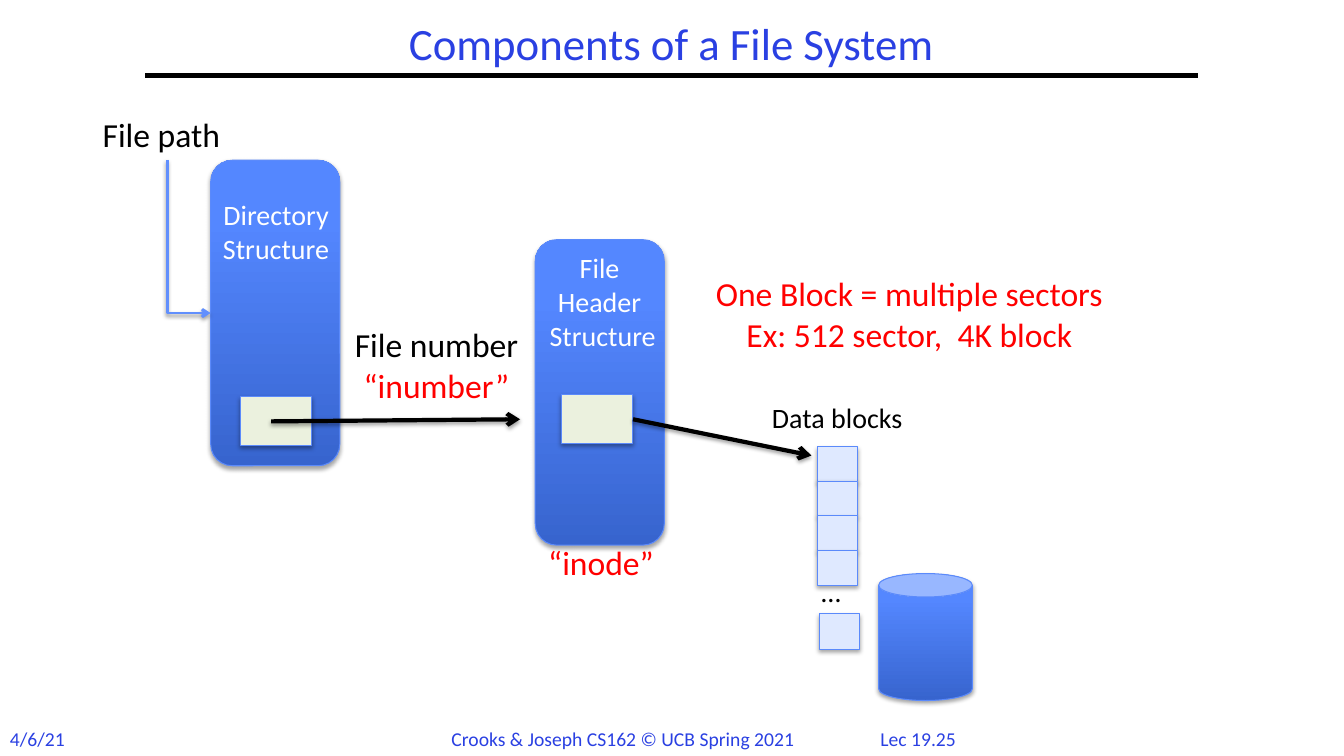
from lxml import etree
from pptx import Presentation
from pptx import util as u
from pptx.dml import color
from pptx.enum import shapes as es, text as et
from pptx.oxml import ns

Pt = u.Pt
RGB = color.RGBColor
BLACK = RGB(0, 0, 0)
WHITE = RGB(255, 255, 255)
RED = RGB(255, 0, 0)
TITLE = RGB(0x2A, 0x40, 0xE2)
EDGE = RGB(0x5B, 0x8A, 0xFB)
LINK = RGB(0x61, 0x8F, 0xFD)
DARK = RGB(0x37, 0x64, 0xCE)
LIGHT = RGB(0x54, 0x87, 0xFF)
CREAM = RGB(0xEB, 0xF1, 0xDE)
PALE = RGB(0xDF, 0xE9, 0xFF)

deck = Presentation()
deck.slide_width, deck.slide_height = Pt(960), Pt(540)
slide = deck.slides.add_slide(deck.slide_layouts[6])
items = slide.shapes


def shade(item, alpha, dist):
    props = item._element.spPr
    fx = etree.SubElement(props, ns.qn("a:effectLst"))
    if alpha:
        drop = etree.SubElement(fx, ns.qn("a:outerShdw"), blurRad=str(Pt(3.1)),
                                dist=str(Pt(dist)), dir="5400000", rotWithShape="0")
        tint = etree.SubElement(drop, ns.qn("a:srgbClr"), val="000000")
        etree.SubElement(tint, ns.qn("a:alpha"), val=str(alpha * 1000))


def join(kind, ends, tint, width, arrow=True):
    link = items.add_connector(kind, *[Pt(v) for v in ends])
    link.line.width = Pt(width)
    link.line.color.rgb = tint
    if arrow:
        etree.SubElement(link.line._get_or_add_ln(), ns.qn("a:tailEnd"), type="arrow")
    shade(link, 38 if arrow else 0, 1.6)
    return link


ROUND = es.MSO_SHAPE.ROUNDED_RECTANGLE
RECT = es.MSO_SHAPE.RECTANGLE
parts = [
    (ROUND, 150.5, 114.5, 92.2, 218.2, None),
    (ROUND, 382.3, 171.2, 92.2, 218.2, None),
    (RECT, 172, 283.5, 50.5, 34.7, CREAM),
    (RECT, 401.2, 282, 50.5, 34.7, CREAM),
    (es.MSO_SHAPE.CAN, 627.6, 409.7, 67, 90.7, None),
]
parts += [(RECT, 584, 319 + 24.7 * i, 28.8, 25.2, PALE) for i in range(4)]
parts.append((RECT, 585.4, 438.5, 28.8, 25.2, PALE))

for kind, x, y, w, h, tint in parts:
    part = items.add_shape(kind, Pt(x), Pt(y), Pt(w), Pt(h))
    if tint:
        part.fill.solid()
        part.fill.fore_color.rgb = tint
    else:
        part.fill.gradient()
        part.fill.gradient_angle = 90
        for stop, place, shift in zip(part.fill.gradient_stops, (0, 0.8), (DARK, LIGHT)):
            stop.position = place
            stop.color.rgb = shift
    part.line.color.rgb = EDGE
    part.line.width = Pt(0.75)
    shade(part, 35, 1.8)

LINE = es.MSO_CONNECTOR.STRAIGHT
join(LINE, (103.7, 54, 856, 54), BLACK, 3, False)
join(LINE, (193.7, 301, 371.5, 299.5), BLACK, 3)
join(LINE, (452.2, 299.5, 579.6, 325.4), BLACK, 3)

bend = join(es.MSO_CONNECTOR.ELBOW, (80.3, 153.4, 189.7, 184.4), LINK, 2)
frame = bend._element.spPr
frame.find(ns.qn("a:prstGeom")).set("prst", "bentConnector2")
for key, val in {"rot": "16200000", "flipH": "1"}.items():
    frame.find(ns.qn("a:xfrm")).set(key, val)

LEFT, MID = et.PP_ALIGN.LEFT, et.PP_ALIGN.CENTER
GROW, FIXED = et.MSO_AUTO_SIZE.SHAPE_TO_FIT_TEXT, et.MSO_AUTO_SIZE.NONE
TOP, CORE = et.MSO_ANCHOR.TOP, et.MSO_ANCHOR.MIDDLE
free = {"word_wrap": False, "auto_size": GROW, "vertical_anchor": TOP}
foot = {**free, "word_wrap": True}
head = {"word_wrap": True, "auto_size": FIXED, "vertical_anchor": CORE}
labels = [
    ("Components of a File System", 103.7, 12.2, 751.7, 41.8, 32, TITLE, MID, head),
    ("4/6/21", 0, 515.5, 57.6, 24.3, 14, TITLE, LEFT, foot),
    ("Crooks & Joseph CS162 © UCB Spring 2021", 315.4, 515.5, 270.7, 24.3, 14, TITLE, LEFT, foot),
    ("Lec 19.25", 612, 515.5, 87.8, 24.3, 14, TITLE, MID, foot),
    ("File path", 66.2, 77.8, 107.3, 36, 24, BLACK, LEFT, free),
    ("Directory\nStructure", 149, 137.5, 96.5, 55.4, 20, WHITE, MID, free),
    ("File \nHeader \nStructure", 382.3, 175.7, 96.5, 79.9, 20, WHITE, MID, free),
    ("File number", 240.5, 228.2, 142.6, 36, 24, BLACK, MID, free),
    ("“inumber”", 252, 257, 119.5, 36, 24, RED, MID, free),
    ("…", 579.6, 406.8, 34.6, 31.7, 20, BLACK, LEFT, free),
    ("Data blocks", 544.3, 282.2, 120.2, 31.7, 20, BLACK, LEFT, free),
    ("“inode”", 384.5, 383.8, 90, 36, 24, RED, LEFT, free),
    ("One Block = multiple sectors\nEx: 512 sector,  4K block",
     488.2, 191.5, 322.6, 65.5, 24, RED, MID, free),
]

for words, x, y, w, h, size, tint, align, form in labels:
    body = items.add_textbox(Pt(x), Pt(y), Pt(w), Pt(h)).text_frame
    body.text = words
    for key, val in form.items():
        setattr(body, key, val)
    for para in body.paragraphs:
        para.alignment = align
        if form is head:
            para.line_spacing = 0.9
        for key, val in {"name": "Calibri", "size": Pt(size)}.items():
            setattr(para.font, key, val)
        para.font.color.rgb = tint

deck.save("out.pptx")
